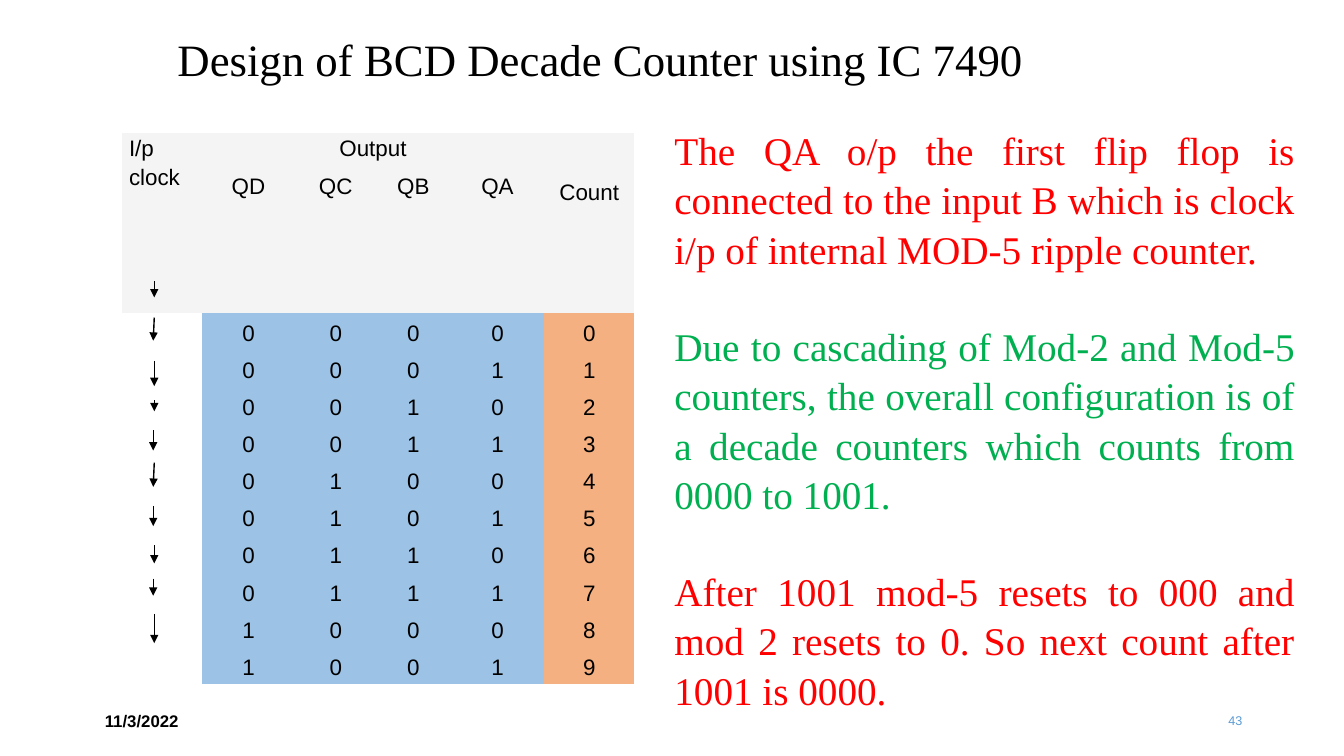
"""Build the slide on a BCD decade counter with its count table and notes."""
from lxml import etree
from pptx import Presentation
from pptx.dml.color import RGBColor
from pptx.enum.shapes import MSO_CONNECTOR
from pptx.enum.text import MSO_ANCHOR, PP_ALIGN
from pptx.oxml.ns import qn
from pptx.util import Inches, Pt

STRAIGHT = MSO_CONNECTOR.STRAIGHT
TOP, MIDDLE = MSO_ANCHOR.TOP, MSO_ANCHOR.MIDDLE
LEFT, CENTER, RIGHT, JUSTIFY = PP_ALIGN.LEFT, PP_ALIGN.CENTER, PP_ALIGN.RIGHT, PP_ALIGN.JUSTIFY
SERIF, SANS = "Times New Roman", "Arial"
NO_STYLE = "{2D5ABB26-0587-4C30-8999-92F81FD0307C}"
BLACK, BLUE, RED, GREEN = "000000", "5B9BD5", "FF0000", "00B050"
HEADER_FILL, BIT_FILL, COUNT_FILL = "F5F4F4", "9CC2E5", "F4B081"


def rgb(code):
    return RGBColor.from_string(code)


def write(p, text, size, font, color, align, spacing=1.0, bold=False):
    p.text = text
    p.alignment = align
    p.line_spacing = spacing
    p.font.size = Pt(size)
    p.font.name = font
    p.font.bold = bold
    p.font.color.rgb = rgb(color)


prs = Presentation()
prs.slide_width, prs.slide_height = Inches(13.33), Inches(7.5)
s = prs.slides.add_slide(prs.slide_layouts[6])

labels = [
    ((1.53, 0.23, 10.77, 0.59), "Design of BCD Decade Counter using IC 7490",
     32, SERIF, BLACK, LEFT, 0.9, False, TOP, (0.23, 0.14)),
    ((0.92, 6.95, 0.95, 0.4), "11/3/2022", 12, SANS, BLACK, RIGHT, 1.0, True, MIDDLE, (0.1, 0.05)),
    ((9.42, 6.95, 3, 0.4), "43", 9, SANS, BLUE, RIGHT, 1.0, False, MIDDLE, (0.1, 0.05)),
]
for box, text, size, font, color, align, spacing, bold, anchor, inset in labels:
    tf = s.shapes.add_textbox(*map(Inches, box)).text_frame
    tf.word_wrap = True
    tf.vertical_anchor = anchor
    tf.margin_left, tf.margin_top = map(Inches, inset)
    write(tf.paragraphs[0], text, size, font, color, align, spacing, bold)

columns = [0.79, 0.93, 0.8, 0.74, 0.93, 0.89]
table_left, table_top, body_top, body_bottom = 1.21, 1.32, 3.11, 6.79
counts = range(10)
rows = [0.37, body_top - table_top - 0.37] + [(body_bottom - body_top) / len(counts)] * len(counts)
frame = s.shapes.add_table(len(rows), len(columns), Inches(table_left), Inches(table_top),
                           Inches(sum(columns)), Inches(sum(rows)))
table = frame.table
table.first_row = table.horz_banding = False
next(frame.element.iter(qn("a:tableStyleId"))).text = NO_STYLE
for column, width in zip(table.columns, columns):
    column.width = Inches(width)
for row, height in zip(table.rows, rows):
    row.height = Inches(height)

values = [["I/p clock", "Output", "", "", "", "Count"], ["", "QD", "QC", "QB", "QA", ""]]
values += [["", *f"{count:04b}", str(count)] for count in counts]
for r, line in enumerate(values):
    for c, text in enumerate(line):
        cell = table.cell(r, c)
        cell.margin_left = cell.margin_right = Inches(0.07)
        cell.margin_top = cell.margin_bottom = 0
        cell.vertical_anchor = TOP if r < 2 else MIDDLE
        if r > 1 and c == 0:
            cell.fill.background()
        else:
            cell.fill.solid()
            fill = HEADER_FILL if r < 2 else COUNT_FILL if c == 5 else BIT_FILL
            cell.fill.fore_color.rgb = rgb(fill)
        write(cell.text_frame.paragraphs[0], text, 16, SANS, BLACK,
              CENTER if c else JUSTIFY, 1.15)
table.cell(0, 5).margin_top = Inches(0.43)
for first, last in [((0, 0), (1, 0)), ((0, 1), (0, 4)), ((0, 5), (1, 5))]:
    table.cell(*first).merge(table.cell(*last))

clock_edges = [
    (1.53, 2.79, 1.53, 2.95), (1.53, 3.15, 1.52, 3.38), (1.53, 3.58, 1.53, 3.83),
    (1.53, 3.97, 1.53, 4.08), (1.52, 4.27, 1.52, 4.47), (1.53, 4.59, 1.52, 4.83),
    (1.52, 5.02, 1.52, 5.22), (1.53, 5.41, 1.53, 5.59), (1.52, 5.74, 1.52, 5.91),
    (1.53, 6.09, 1.53, 6.38),
]
for edge in clock_edges:
    arrow = s.shapes.add_connector(STRAIGHT, *map(Inches, edge))
    arrow.line.color.rgb = rgb(BLACK)
    arrow.line.width = Pt(1)
    etree.SubElement(arrow.line._get_or_add_ln(), qn("a:tailEnd"), type="triangle")
    etree.SubElement(arrow.element.spPr, qn("a:effectLst"))

notes = [
    ("The QA o/p the first flip flop is connected to the input B which is clock "
     "i/p of internal MOD-5 ripple counter.", RED),
    ("Due to cascading of Mod-2 and Mod-5 counters, the overall configuration is of "
     "a decade counters which counts from 0000 to 1001.", GREEN),
    ("After 1001 mod-5 resets to 000 and mod 2 resets to 0. So next count after "
     "1001 is 0000.", RED),
]
tf = s.shapes.add_textbox(*map(Inches, (6.59, 1.18, 6.35, 5.58))).text_frame
tf.word_wrap = True
for i, (text, color) in enumerate(notes):
    p = tf.add_paragraph() if i else tf.paragraphs[0]
    write(p, text, 28, SERIF, color, JUSTIFY, 1.05)
    if i:
        p.space_before = Pt(34)

prs.save("out.pptx")
